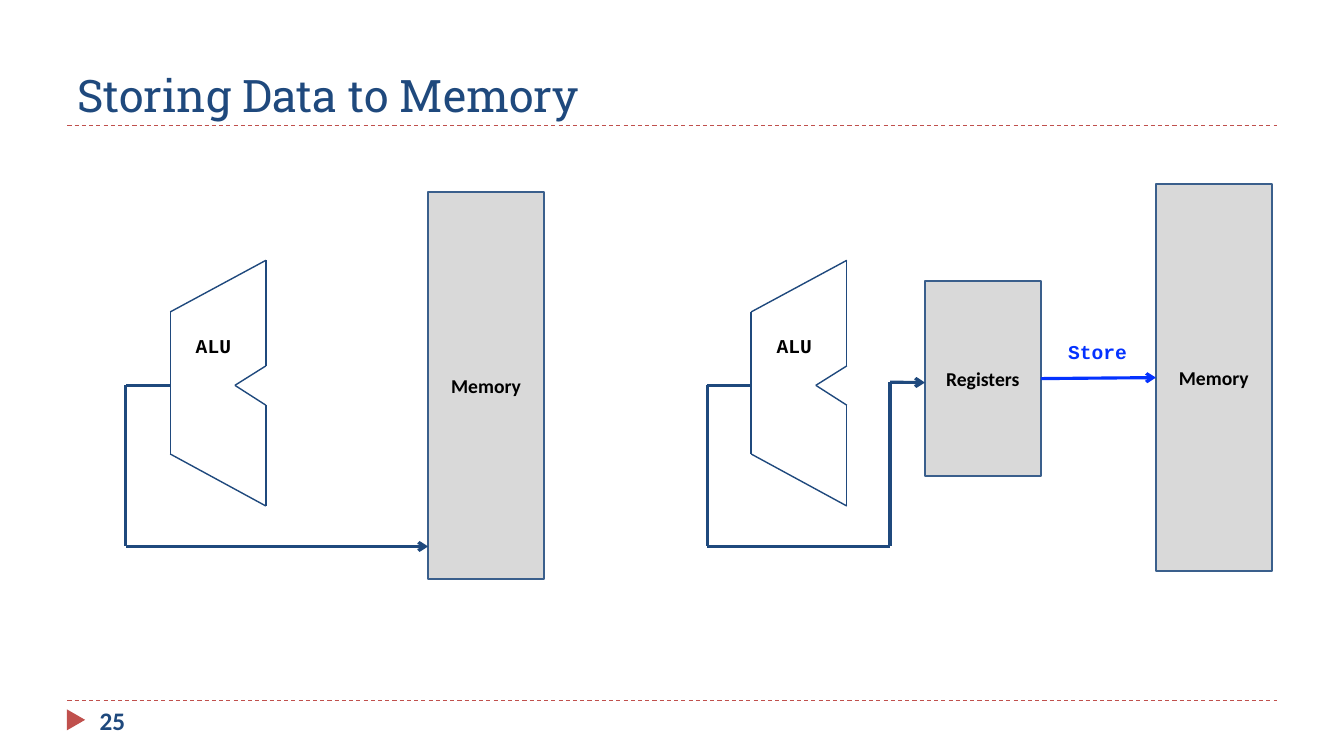
from itertools import pairwise

from lxml.etree import SubElement
from pptx import Presentation
from pptx.dml.color import RGBColor
from pptx.enum.dml import MSO_LINE
from pptx.enum.shapes import MSO_CONNECTOR, MSO_SHAPE
from pptx.enum.text import MSO_ANCHOR, MSO_AUTO_SIZE, PP_ALIGN
from pptx.oxml.ns import qn
from pptx.util import Cm, Pt

NAVY = RGBColor(0x1F, 0x49, 0x7D)
RED = RGBColor(0xC0, 0x50, 0x4D)
BLUE = RGBColor(0x04, 0x32, 0xFF)
GRAY = RGBColor(0xD9, 0xD9, 0xD9)
EDGE = RGBColor(0x3A, 0x5F, 0x8C)
BLACK = RGBColor(0, 0, 0)

# All positions are in centimetres.
TITLE = "Storing Data to Memory"
PAGE_NUMBER = "25"
RULE_LEFT, RULE_RIGHT = 1.7, 32.18
RULE_TOPS = (3.17, 17.65)
BLOCK_WIDTH = 2.92
BLOCKS = {  # name: label, left, top, height
    "direct memory": ("Memory", 10.79, 4.84, 9.75),
    "registers": ("Registers", 23.31, 7.09, 4.9),
    "memory": ("Memory", 29.13, 4.64, 9.75),
}
ALU_LEFTS = (4.29, 18.93)
ALU_OUTLINE = [(0, 7.86), (2.41, 6.56), (2.41, 9.22), (1.63, 9.71),
               (2.41, 10.21), (2.41, 12.75), (0, 11.44)]
WIRES = [
    [(4.29, 9.71), (3.17, 9.71), (3.17, 13.77), (10.79, 13.77)],
    [(18.94, 9.71), (17.83, 9.71), (17.83, 13.77), (22.43, 13.77),
     (22.43, 9.63), (23.31, 9.64)],
]
FORMATS = {
    "title": {"size": Pt(32), "name": "Roboto Slab", "bold": False},
    "number": {"size": Pt(18), "name": "Calibri", "bold": True},
    "block": {"size": Pt(14), "name": "Calibri", "bold": True},
    "code": {"size": Pt(14), "name": "Courier New", "bold": True},
}


def write(shape, text, style, color, align=PP_ALIGN.LEFT, anchor=MSO_ANCHOR.TOP, wrap=True):
    frame = shape.text_frame
    frame.text = text
    frame.word_wrap = wrap
    frame.auto_size = MSO_AUTO_SIZE.NONE
    frame.vertical_anchor = anchor
    paragraph = frame.paragraphs[0]
    paragraph.alignment = align
    for name, value in FORMATS[style].items():
        setattr(paragraph.font, name, value)
    paragraph.font.color.rgb = color


def add_label(slide, box, text, style, color, **layout):
    write(slide.shapes.add_textbox(*map(Cm, box)), text, style, color, **layout)


def add_line(slide, start, end, color, width, arrow=False, dashed=False):
    connector = slide.shapes.add_connector(
        MSO_CONNECTOR.STRAIGHT, *map(Cm, (*start, *end)))
    connector.line.color.rgb = color
    connector.line.width = Pt(width)
    if dashed:
        connector.line.dash_style = MSO_LINE.DASH
    properties = connector._element.spPr
    if arrow:
        SubElement(properties.find(qn("a:ln")), qn("a:tailEnd"), type="arrow")
    SubElement(properties, qn("a:effectLst"))
    return connector


def add_block(slide, label, left, top, height):
    block = slide.shapes.add_shape(
        MSO_SHAPE.RECTANGLE, *map(Cm, (left, top, BLOCK_WIDTH, height)))
    block.shadow.inherit = False
    block.fill.solid()
    block.fill.fore_color.rgb = GRAY
    block.line.color.rgb = EDGE
    block.line.width = Pt(1.5)
    write(block, label, "block", BLACK, PP_ALIGN.CENTER, MSO_ANCHOR.MIDDLE)
    return block


def add_alu(slide, left):
    corners = [(left + x, y) for x, y in ALU_OUTLINE]
    for start, end in pairwise(corners + corners[:1]):
        add_line(slide, start, end, NAVY, 1)
    add_label(slide, (left + 0.1, 8.28, 1.98, 1.02), "ALU", "code", BLACK,
              align=PP_ALIGN.CENTER)


def add_frame(slide):
    """Add the title, the dashed rules and the page number with its marker."""
    for top in RULE_TOPS:
        add_line(slide, (RULE_LEFT, top), (RULE_RIGHT, top), RED, 0.75, dashed=True)
    title = slide.shapes.title
    title.left, title.top, title.width, title.height = map(Cm, (1.7, 0.64, 30.48, 2.54))
    write(title, TITLE, "title", NAVY, anchor=MSO_ANCHOR.BOTTOM)
    marker = slide.shapes.add_shape(
        MSO_SHAPE.ISOSCELES_TRIANGLE, *map(Cm, (1.65, 17.91, 0.53, 0.46)))
    marker.rotation = 90
    marker.shadow.inherit = False
    marker.fill.solid()
    marker.fill.fore_color.rgb = RED
    marker.line.fill.background()
    add_label(slide, (2.26, 17.65, 7.34, 1.02), PAGE_NUMBER, "number", NAVY)


def main():
    presentation = Presentation()
    presentation.slide_width, presentation.slide_height = Cm(33.87), Cm(19.05)
    slide = presentation.slides.add_slide(presentation.slide_layouts[5])
    add_frame(slide)
    for left in ALU_LEFTS:
        add_alu(slide, left)
    blocks = {name: add_block(slide, *block) for name, block in BLOCKS.items()}

    for wire in WIRES:
        for start, end in pairwise(wire):
            add_line(slide, start, end, NAVY, 2.25, arrow=end == wire[-1])

    store = add_line(slide, (26.23, 9.54), (29.13, 9.52), BLUE, 2.25, arrow=True)
    store.begin_connect(blocks["registers"], 3)
    store.end_connect(blocks["memory"], 1)
    add_label(slide, (26.67, 8.44, 2.16, 1.02), "Store", "code", BLUE, wrap=False)
    presentation.save("out.pptx")


if __name__ == "__main__":
    main()
